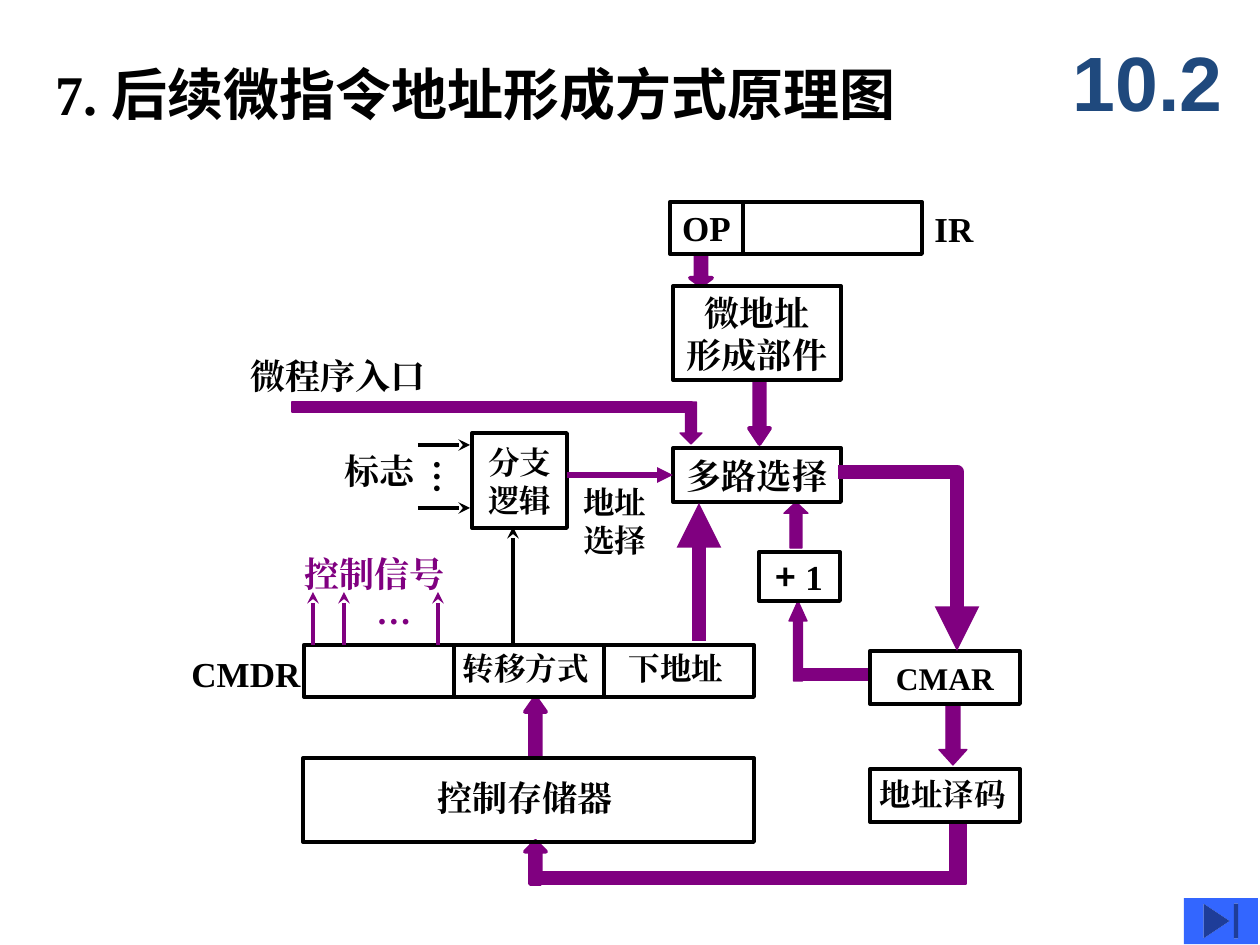
from lxml.etree import SubElement
from pptx import Presentation
from pptx.dml.color import RGBColor
from pptx.enum.shapes import MSO_CONNECTOR, MSO_SHAPE
from pptx.enum.text import MSO_ANCHOR, PP_ALIGN
from pptx.oxml.ns import qn
from pptx.util import Pt

SCALE = 914400 / 126
BLACK, PURPLE, NAVY, BLUE = "000000", "800080", "1F497D", "3366FF"
SERIF = "Times New Roman"


def px(length):
    """Turn a whole number of pixels into EMU."""
    return round(length * SCALE)


def color(value):
    """Turn a hex string into a colour."""
    return RGBColor.from_string(value)


def write_span(para, text, size=20, font=SERIF, ink=BLACK):
    """Add one bold run of text to a paragraph."""
    span = para.add_run()
    span.text = text
    span.font.size = Pt(size)
    span.font.bold = True
    span.font.name = font
    span.font.color.rgb = color(ink)
    SubElement(span.font._element, qn("a:ea"), typeface=font)


def set_frame(frame, margin=0, wrap=False):
    """Centre the text vertically and set its margins and wrapping."""
    frame.margin_left = frame.margin_right = px(margin)
    frame.margin_top = frame.margin_bottom = 0
    frame.vertical_anchor = MSO_ANCHOR.MIDDLE
    frame.word_wrap = wrap


def write_lines(frame, text, align=PP_ALIGN.CENTER, **style):
    """Write each line of the text as its own paragraph."""
    for index, line in enumerate(text.split("\n")):
        para = frame.add_paragraph() if index else frame.paragraphs[0]
        para.alignment = align
        write_span(para, line, **style)


def add_label(page, text, left, top, width, height, **style):
    """Add a text box with centred text."""
    box = page.shapes.add_textbox(px(left), px(top), px(width), px(height))
    set_frame(box.text_frame)
    write_lines(box.text_frame, text, **style)
    return box


def add_box(page, text, left, top, width, height, lift=0, **style):
    """Add an outlined rectangle, with its text lifted off centre."""
    box = page.shapes.add_shape(MSO_SHAPE.RECTANGLE, px(left), px(top), px(width), px(height))
    box.shadow.inherit = False
    box.fill.background()
    box.line.color.rgb = color(BLACK)
    box.line.width = Pt(2.25)
    set_frame(box.text_frame)
    box.text_frame.margin_bottom = box.text_frame.margin_right = px(2 * lift)
    if text:
        write_lines(box.text_frame, text, **style)
    return box


def add_solid(page, kind, left, top, width, height, head=None, line=0.75):
    """Add a purple bar or block arrow."""
    shape = page.shapes.add_shape(kind, px(left), px(top), px(width), px(height))
    shape.shadow.inherit = False
    shape.fill.solid()
    shape.fill.fore_color.rgb = color(PURPLE)
    shape.line.color.rgb = color(PURPLE)
    shape.line.width = Pt(line)
    if head:
        shape.adjustments[0], shape.adjustments[1] = 0.5, head


def style_arrow(arrow, ink, width, head):
    """Set the colour, width and arrowhead of a line."""
    arrow.line.color.rgb = color(ink)
    arrow.line.width = Pt(width)
    SubElement(arrow.line._get_or_add_ln(), qn("a:tailEnd"), type=head)


def add_arrow(page, start, end, ink=BLACK, width=2.25, head="stealth"):
    """Add a straight arrow between two points."""
    arrow = page.shapes.add_connector(
        MSO_CONNECTOR.STRAIGHT, *(px(value) for value in (*start, *end)))
    style_arrow(arrow, ink, width, head)
    SubElement(arrow._element.spPr, qn("a:effectLst"))
    return arrow


def add_elbow(page, points):
    """Add a thick bent arrow through the points."""
    builder = page.shapes.build_freeform(*points[0], scale=SCALE)
    builder.add_line_segments(points[1:], close=False)
    elbow = builder.convert_to_shape()
    elbow.shadow.inherit = False
    elbow.fill.background()
    style_arrow(elbow, PURPLE, 8.5, "triangle")


def add_heading(page):
    """Fill the title and add the section number."""
    title = page.shapes.title
    title.left, title.top, title.width, title.height = px(42), px(53), px(1000), px(81)
    set_frame(title.text_frame, margin=13, wrap=True)
    para = title.text_frame.paragraphs[0]
    para.alignment = PP_ALIGN.LEFT
    write_span(para, "7. ", size=32)
    write_span(para, "后续微指令地址形成方式原理图", size=32, font="DejaVu Sans")
    add_label(page, "10.2", 1061, 25, 174, 112, size=44, font="Arial", ink=NAVY)


def add_flows(page):
    """Add the purple bars and block arrows."""
    down, up, bar = MSO_SHAPE.DOWN_ARROW, MSO_SHAPE.UP_ARROW, MSO_SHAPE.RECTANGLE
    add_solid(page, down, 939, 703, 28, 62, 0.55)
    add_solid(page, up, 525, 697, 21, 59, 0.71, 2.25)
    add_solid(page, down, 749, 381, 21, 63, 0.75, 2.25)
    add_solid(page, down, 690, 255, 22, 31, 0.37, 2.25)
    add_solid(page, bar, 292, 402, 400, 10)
    add_solid(page, down, 680, 402, 22, 42, 0.5)
    add_solid(page, bar, 950, 822, 16, 62)
    add_solid(page, up, 784, 502, 24, 46, 0.47)
    add_solid(page, bar, 798, 669, 72, 11)
    add_solid(page, up, 789, 601, 18, 80, 1.11)
    add_solid(page, bar, 533, 872, 422, 12)
    add_solid(page, up, 525, 841, 21, 43, 0.51, 2.25)


def add_units(page):
    """Add the registers and logic units, with the branch select arrow."""
    add_box(page, "OP", 670, 202, 73, 52)
    add_box(page, "", 743, 202, 179, 52)
    add_box(page, "微地址\n形成部件", 673, 286, 168, 94)
    selector = add_box(page, "多路选择", 673, 448, 168, 54)
    add_box(page, "分支\n逻辑", 472, 433, 95, 95, size=18)
    for index, text in enumerate(("", "转移方式", "下地址")):
        add_box(page, text, 304 + 150 * index, 645, 150, 52, lift=3, size=18)
    add_box(page, "控制存储器", 303, 758, 451, 84, lift=3)
    add_box(page, "CMAR", 870, 651, 150, 53, size=18)
    add_box(page, "地址译码", 870, 769, 150, 53, lift=2, size=18)
    adder = add_box(page, "", 759, 552, 81, 49)
    para = adder.text_frame.paragraphs[0]
    para.alignment = PP_ALIGN.CENTER
    write_span(para, "+", font="Noto Sans CJK SC")
    write_span(para, " 1")
    select = add_arrow(page, (567, 475), (673, 475), PURPLE, 3, "triangle")
    select.end_connect(selector, 1)


def add_signals(page):
    """Add the thin signal arrows and the thick address paths."""
    for x in (313, 344, 438):
        add_arrow(page, (x, 645), (x, 592), PURPLE)
    for y in (445, 508):
        add_arrow(page, (418, y), (470, y))
    add_arrow(page, (513, 644), (513, 527))
    add_arrow(page, (699, 641), (699, 503), PURPLE, 8.5, "triangle")
    add_elbow(page, [(838, 472), (957, 472), (957, 651)])


def add_labels(page):
    """Add the labels beside the units."""
    add_label(page, "IR", 922, 201, 64, 55)
    add_label(page, "微程序入口", 238, 348, 200, 55)
    add_label(page, "标志", 333, 443, 94, 55)
    add_label(page, "地址\n选择", 571, 477, 88, 88, size=18)
    add_label(page, "控制信号", 292, 546, 165, 55, ink=PURPLE)
    add_label(page, "…", 364, 583, 60, 55, ink=PURPLE)
    add_label(page, "CMDR", 179, 646, 134, 55)
    dots = add_label(page, "…", 415, 460, 67, 48)
    dots.text_frame._txBody.bodyPr.set("vert", "eaVert")


def add_end_button(page):
    """Add the button for the last slide."""
    button = page.shapes.add_shape(
        MSO_SHAPE.ACTION_BUTTON_END, px(1184), px(898), px(74), px(46))
    button.shadow.inherit = False
    button.fill.solid()
    button.fill.fore_color.rgb = color(BLUE)
    button.line.fill.background()


def main():
    """Build the slide and save the deck."""
    deck = Presentation()
    deck.slide_width, deck.slide_height = px(1260), px(945)
    page = deck.slides.add_slide(deck.slide_layouts[5])
    add_heading(page)
    add_flows(page)
    add_units(page)
    add_signals(page)
    add_labels(page)
    add_end_button(page)
    deck.save("out.pptx")


if __name__ == "__main__":
    main()
